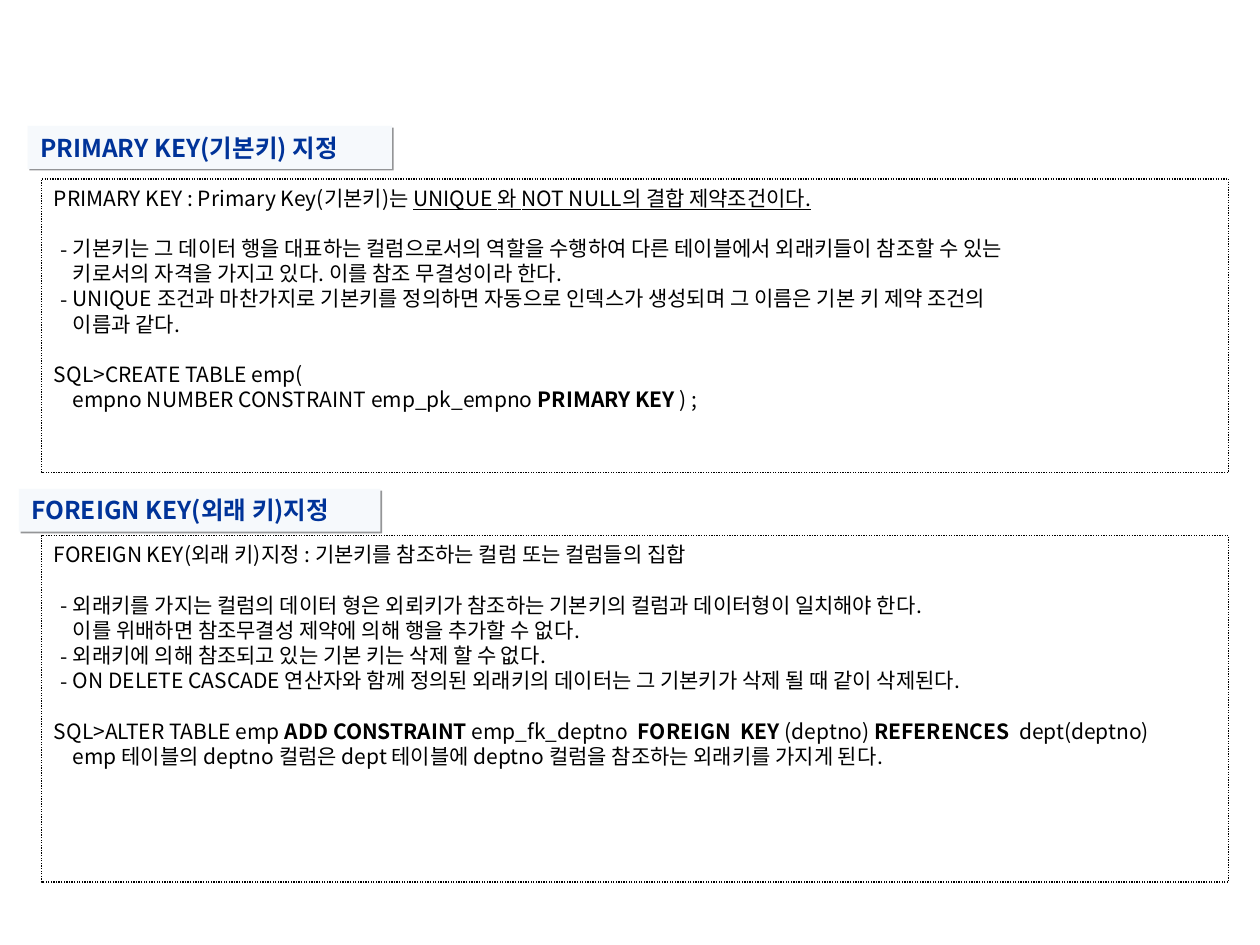
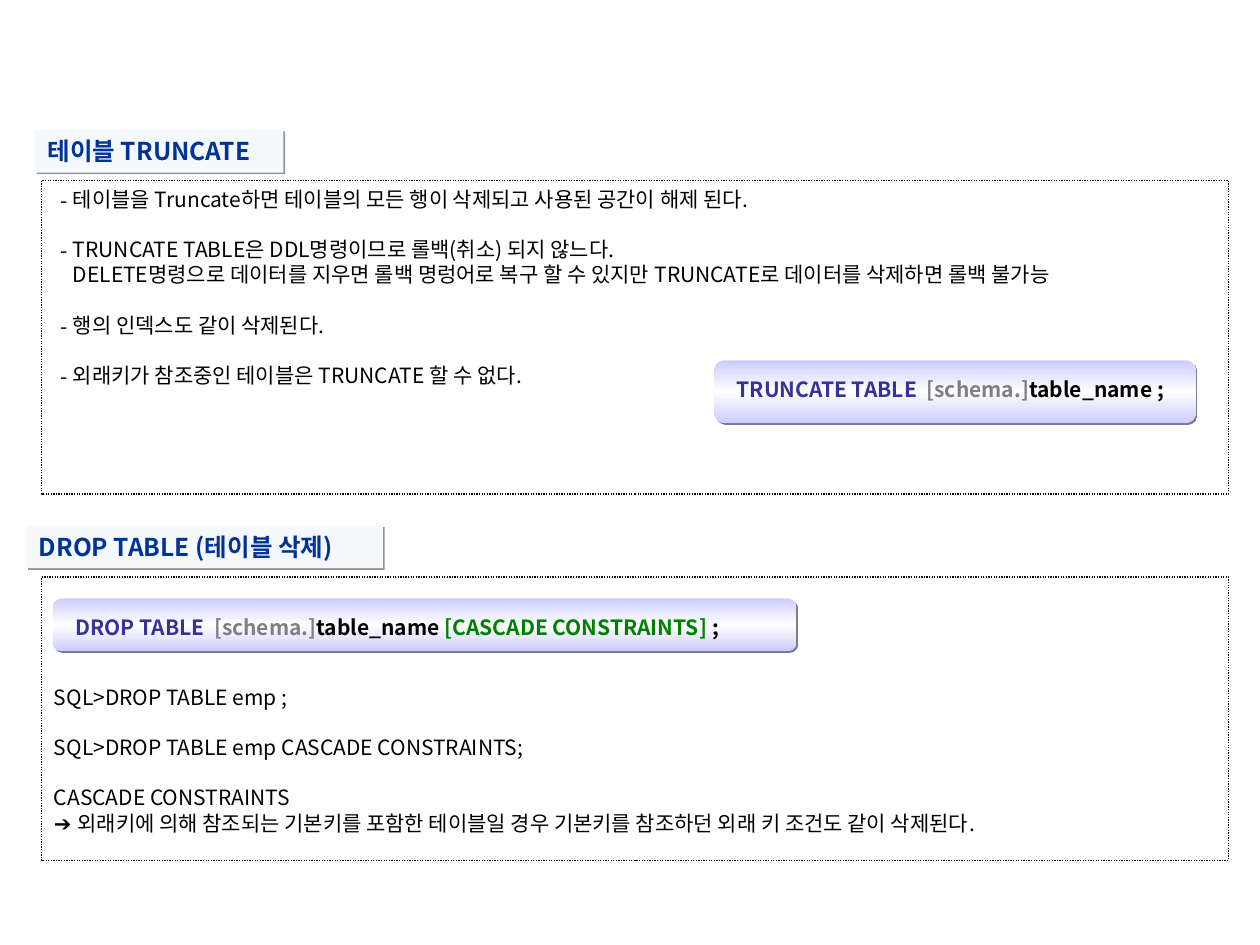
"""Build two slides on SQL key constraints and on removing tables."""
from dataclasses import dataclass

from lxml import etree
from pptx import Presentation
from pptx import util as u
from pptx.dml.color import RGBColor
from pptx.enum import dml, shapes, text
from pptx.oxml.ns import qn


@dataclass(frozen=True)
class Theme:
    font: str = "Noto Sans CJK KR"
    symbol_font: str = "Arial"
    black: str = "000000"
    title: str = "003399"
    title_fill: str = "F6F9FC"
    title_shadow: str = "949597"
    pill_edge: str = "CCCCFF"
    pill_middle: str = "FFFFFF"
    pill_shadow: str = "7A7A99"
    keyword: str = "333399"
    optional: str = "808080"
    cascade: str = "008000"
    body_size: float = 12
    title_size: float = 14
    body_line: float = 14.4
    title_line: float = 17


T = Theme()

STYLES = {
    "plain": dict(),
    "bold": dict(bold=True),
    "under": dict(underline=True),
    "symbol": dict(font=T.symbol_font),
    "title": dict(bold=True, color=T.title, size=T.title_size),
    "keyword": dict(bold=True, color=T.keyword),
    "optional": dict(bold=True, color=T.optional),
    "cascade": dict(bold=True, color=T.cascade),
}

INDENTS = {"text": (0, 0), "bullet": (0.15, -0.1), "inset": (0.15, 0)}

PANEL_LEFT, PANEL_WIDTH = 0.33, 9.42
TITLE_HEIGHT = 0.34
PILL_PAD = 0.08

SLIDES = [
    [
        dict(
            title="PRIMARY KEY(기본키) 지정", title_box=(0.22, 1, 2.89),
            panel=(1.42, 2.33),
            lines=[
                ("text", False, [
                    ("PRIMARY KEY : Primary Key(기본키)는 ", "plain"),
                    ("UNIQUE 와 NOT NULL의 결합 제약조건이다.", "under")]),
                ("bullet", True, "기본키는 그 데이터 행을 대표하는 컬럼으로서의 역할을 수행하여 "
                 "다른 테이블에서 외래키들이 참조할 수 있는\n"
                 "키로서의 자격을 가지고 있다. 이를 참조 무결성이라 한다."),
                ("bullet", False, "UNIQUE 조건과 마찬가지로 기본키를 정의하면 자동으로 인덱스가 "
                 "생성되며 그 이름은 기본 키 제약 조건의\n이름과 같다."),
                ("text", True, "SQL>CREATE TABLE emp("),
                ("text", False, [
                    ("    empno NUMBER CONSTRAINT emp_pk_empno ", "plain"),
                    ("PRIMARY KEY", "bold"), (" ) ;", "plain")]),
            ]),
        dict(
            title="FOREIGN KEY(외래 키)지정", title_box=(0.15, 3.88, 2.87),
            panel=(4.25, 2.75),
            lines=[
                ("text", False, "FOREIGN KEY(외래 키)지정 : 기본키를 참조하는 컬럼 또는 컬럼들의 집합"),
                ("bullet", True, "외래키를 가지는 컬럼의 데이터 형은 외뢰키가 참조하는 기본키의 "
                 "컬럼과 데이터형이 일치해야 한다.\n"
                 "이를 위배하면 참조무결성 제약에 의해 행을 추가할 수 없다."),
                ("bullet", False, "외래키에 의해 참조되고 있는 기본 키는 삭제 할 수 없다."),
                ("bullet", False, "ON DELETE CASCADE 연산자와 함께 정의된 외래키의 데이터는 "
                 "그 기본키가 삭제 될 때 같이 삭제된다."),
                ("text", True, [
                    ("SQL>ALTER TABLE emp ", "plain"), ("ADD CONSTRAINT", "bold"),
                    (" emp_fk_deptno  ", "plain"), ("FOREIGN  KEY", "bold"),
                    (" (deptno) ", "plain"), ("REFERENCES", "bold"),
                    ("  dept(deptno)", "plain")]),
                ("inset", False, "emp 테이블의 deptno 컬럼은 dept 테이블에 deptno 컬럼을 "
                 "참조하는 외래키를 가지게 된다."),
            ]),
    ],
    [
        dict(
            title="테이블 TRUNCATE", title_box=(0.28, 1.03, 1.97),
            panel=(1.43, 2.49),
            lines=[
                ("bullet", False, "테이블을 Truncate하면 테이블의 모든 행이 삭제되고 "
                 "사용된 공간이 해제 된다."),
                ("bullet", True, "TRUNCATE TABLE은 DDL명령이므로 롤백(취소) 되지 않느다.\n"
                 "DELETE명령으로 데이터를 지우면 롤백 명렁어로 복구 할 수 있지만 "
                 "TRUNCATE로 데이터를 삭제하면 롤백 불가능"),
                ("bullet", True, "행의 인덱스도 같이 삭제된다."),
                ("bullet", True, "외래키가 참조중인 테이블은 TRUNCATE 할 수 없다."),
            ],
            syntax_box=(5.67, 2.86, 3.82, 0.5),
            syntax=[("TRUNCATE TABLE  ", "keyword"), ("[schema.]", "optional"),
                    ("table_name ;", "bold")]),
        dict(
            title="DROP TABLE (테이블 삭제)", title_box=(0.21, 4.17, 2.83),
            panel=(4.58, 2.25), top_inset=0.85,
            lines=[
                ("text", False, "SQL>DROP TABLE emp ;"),
                ("text", True, "SQL>DROP TABLE emp CASCADE CONSTRAINTS;"),
                ("text", True, "CASCADE CONSTRAINTS"),
                ("text", False, [
                    ("➔ ", "symbol"),
                    ("외래키에 의해 참조되는 기본키를 포함한 테이블일 경우 기본키를 "
                     "참조하던 외래 키 조건도 같이 삭제된다.", "plain")]),
            ],
            syntax_box=(0.42, 4.75, 5.9, 0.42),
            syntax=[("DROP TABLE  ", "keyword"), ("[schema.]", "optional"),
                    ("table_name ", "bold"), ("[CASCADE CONSTRAINTS]", "cascade"),
                    (" ;", "bold")]),
    ],
]


def add_run(p, words, font=T.font, size=T.body_size, color=T.black,
            bold=False, underline=False):
    r = p.add_run()
    r.text = words
    f = r.font
    f.name, f.size, f.bold, f.underline = font, u.Pt(size), bold, underline
    f.color.rgb = RGBColor.from_string(color)
    etree.SubElement(f._element, qn("a:ea")).set("typeface", font)


def write(s, lines, line_pt=T.body_line, top=0.05):
    tf = s.text_frame
    tf.word_wrap = True
    tf.vertical_anchor = text.MSO_ANCHOR.TOP
    tf.margin_left = tf.margin_right = u.Inches(0.1)
    tf.margin_top, tf.margin_bottom = u.Inches(top), u.Inches(0.05)
    for i, (kind, gap, runs) in enumerate(lines):
        p = tf.add_paragraph() if i else tf.paragraphs[0]
        pPr = p._p.get_or_add_pPr()
        for name, value in zip(("marL", "indent"), INDENTS[kind]):
            pPr.set(name, str(u.Inches(value)))
        if kind == "bullet":
            etree.SubElement(pPr, qn("a:buFont")).set("typeface", T.font)
            etree.SubElement(pPr, qn("a:buChar")).set("char", "-")
        p.alignment = text.PP_ALIGN.LEFT
        p.line_spacing = u.Pt(line_pt)
        p.space_before = u.Pt(line_pt if gap else 0)
        for words, style in [(runs, "plain")] if isinstance(runs, str) else runs:
            for n, part in enumerate(words.split("\n")):
                if n:
                    p.add_line_break()
                add_run(p, part, **STYLES[style])


def add_box(slide, preset, *box):
    s = slide.shapes.add_shape(preset, *map(u.Inches, box))
    s.shadow.inherit = False
    s.fill.background()
    s.line.fill.background()
    return s


def drop_shadow(s, color):
    effects = s._element.spPr.find(qn("a:effectLst"))
    shadow = etree.SubElement(effects, qn("a:outerShdw"), blurRad="0",
                              dist=str(u.Pt(1.4)), dir="2700000",
                              algn="ctr", rotWithShape="0")
    etree.SubElement(shadow, qn("a:srgbClr"), val=color)


def add_panel(slide, top, height, lines, top_inset):
    s = add_box(slide, shapes.MSO_SHAPE.RECTANGLE, PANEL_LEFT, top, PANEL_WIDTH, height)
    s.line.color.rgb = RGBColor.from_string(T.black)
    s.line.width = u.Pt(0.75)
    s.line.dash_style = dml.MSO_LINE.ROUND_DOT
    write(s, lines, top=top_inset)


def add_title(slide, title, left, top, width):
    s = add_box(slide, shapes.MSO_SHAPE.RECTANGLE, left, top, width, TITLE_HEIGHT)
    s.fill.solid()
    s.fill.fore_color.rgb = RGBColor.from_string(T.title_fill)
    drop_shadow(s, T.title_shadow)
    write(s, [("text", False, [(title, "title")])], T.title_line)


def add_syntax(slide, runs, left, top, width, height):
    s = add_box(slide, shapes.MSO_SHAPE.ROUNDED_RECTANGLE, left, top, width, height)
    s.fill.gradient()
    s.fill.gradient_angle = 90
    stops = s._element.spPr.find(qn("a:gradFill")).find(qn("a:gsLst"))
    for stop in list(stops):
        stops.remove(stop)
    for pos, color in ((0, T.pill_edge), (50, T.pill_middle), (100, T.pill_edge)):
        stop = etree.SubElement(stops, qn("a:gs"), pos=str(pos * 1000))
        etree.SubElement(stop, qn("a:srgbClr"), val=color)
    drop_shadow(s, T.pill_shadow)
    label = slide.shapes.add_textbox(*map(u.Inches, (
        left + PILL_PAD, top + PILL_PAD, width - PILL_PAD, 0.3)))
    write(label, [("text", False, runs)])


def main():
    prs = Presentation()
    prs.slide_width, prs.slide_height = u.Inches(10), u.Inches(7.5)
    for sections in SLIDES:
        slide = prs.slides.add_slide(prs.slide_layouts[6])
        for part in sections:
            add_panel(slide, *part["panel"], part["lines"], part.get("top_inset", 0.05))
            add_title(slide, part["title"], *part["title_box"])
            if "syntax" in part:
                add_syntax(slide, part["syntax"], *part["syntax_box"])
    prs.save("out.pptx")


if __name__ == "__main__":
    main()
